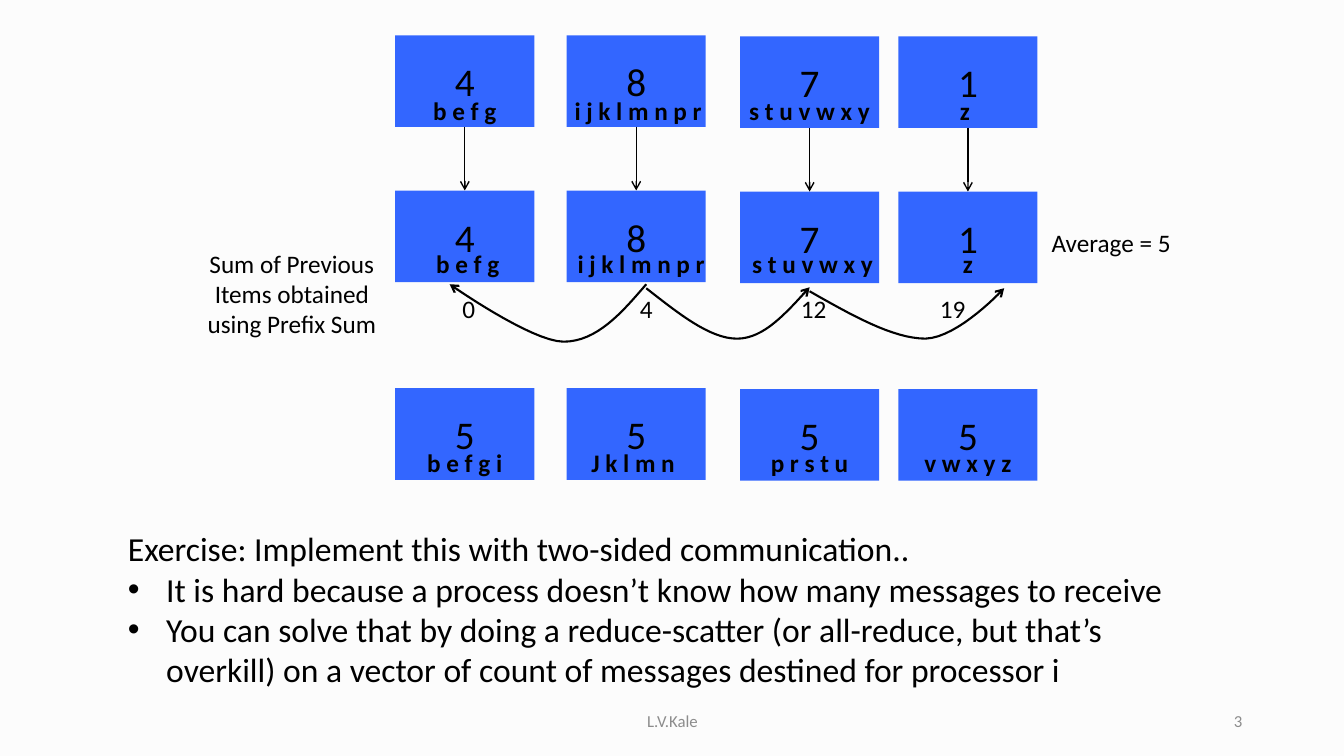
"""Build a slide on balancing items across processes with a prefix sum."""
from lxml import etree
from pptx import Presentation
from pptx.dml.color import RGBColor
from pptx.enum import shapes, text
from pptx.oxml import ns
from pptx.util import Inches, Pt

BLACK = RGBColor(0, 0, 0)
BLUE = RGBColor(0x33, 0x66, 0xFF)
GREY = RGBColor(0x8C, 0x8C, 0x8C)
PAPER = RGBColor(0xFC, 0xFC, 0xFC)
LEFT, CENTER, RIGHT = text.PP_ALIGN.LEFT, text.PP_ALIGN.CENTER, text.PP_ALIGN.RIGHT

BOX_WIDTH, BOX_HEIGHT = 1.38, 0.91
LABEL_WIDTH, LABEL_HEIGHT = 1.6, 0.4
COLUMNS = [(3.92, 0), (5.62, 0), (7.34, 0.01), (8.91, 0.01)]
ROWS = [
    (0.35, 0.9, [("4", "b e f g", 4.61), ("8", "i j k l m n p r", 6.33),
                 ("7", "s t u v w x y", 8.03), ("1", "z", 9.57)]),
    (1.89, 2.41, [("4", "b e f g", 4.64), ("8", "i j k l m n p r", 6.36),
                  ("7", "s t u v w x y", 8.06), ("1", "z", 9.6)]),
    (3.85, 4.39, [("5", "b e f g i", 4.61), ("5", "J k l m n", 6.28),
                  ("5", "p r s t u", 8.03), ("5", "v w x y z", 9.6)]),
]
PREFIX_SUMS = [("0", 4.65), ("4", 6.41), ("12", 8.07), ("19", 9.45)]
CURVES = [
    [(6.41, 2.82), (6.17, 3.1), (5.92, 3.39), (5.59, 3.39),
     (5.27, 3.39), (4.46, 2.82), (4.46, 2.82)],
    [(6.41, 2.86), (6.73, 3.11), (7.04, 3.36), (7.31, 3.36),
     (7.58, 3.36), (7.8, 3.1), (8.03, 2.85)],
    [(8.03, 2.89), (8.45, 3.13), (8.86, 3.36), (9.18, 3.36),
     (9.51, 3.35), (9.96, 2.86), (9.96, 2.86)],
]
CURVE_STEPS = 16
NOTES = [
    ("Average = 5", (10.28, 2.21, 1.48, 0.4), 18, CENTER, BLACK),
    ("Sum of Previous Items obtained using Prefix Sum",
     (1.86, 2.41, 2.07, 1.01), 18, CENTER, BLACK),
    ("L.V.Kale", (4.42, 6.95, 4.5, 0.4), 12, CENTER, GREY),
    ("3", (9.42, 6.95, 3, 0.4), 12, RIGHT, GREY),
]
EXERCISE = [
    "Exercise: Implement this with two-sided communication..",
    "It is hard because a process doesn’t know how many messages to receive",
    "You can solve that by doing a reduce-scatter (or all-reduce, but that’s "
    "overkill) on a vector of count of messages destined for processor i",
]


def style_text(para, size, align=CENTER, color=BLACK, bold=False):
    para.alignment = align
    para.font.name = "Calibri"
    para.font.size = Pt(size)
    para.font.bold = bold
    para.font.color.rgb = color


def add_text(page, words, place, size, align=CENTER, color=BLACK, bold=False):
    frame = page.shapes.add_textbox(*map(Inches, place)).text_frame
    frame.word_wrap = True
    frame.text = words
    if color == GREY:
        frame.vertical_anchor = text.MSO_ANCHOR.MIDDLE
    for para in frame.paragraphs:
        style_text(para, size, align, color, bold)
    return frame


def add_label(page, words, center, top, bold=False):
    place = (center - LABEL_WIDTH / 2, top, LABEL_WIDTH, LABEL_HEIGHT)
    add_text(page, words, place, 18, bold=bold)


def add_box(page, count, left, top):
    box = page.shapes.add_shape(
        shapes.MSO_SHAPE.RECTANGLE,
        *map(Inches, (left, top, BOX_WIDTH, BOX_HEIGHT)))
    box.shadow.inherit = False
    box.fill.solid()
    box.fill.fore_color.rgb = BLUE
    box.line.fill.background()
    box.text_frame.text = count
    box.text_frame.vertical_anchor = text.MSO_ANCHOR.MIDDLE
    style_text(box.text_frame.paragraphs[0], 28)
    return box


def style_arrow(arrow, width):
    arrow.line.color.rgb = BLACK
    arrow.line.width = Pt(width)
    etree.SubElement(arrow.line._get_or_add_ln(), ns.qn("a:tailEnd"), type="arrow")


def add_arrow(page, upper, lower):
    arrow = page.shapes.add_connector(shapes.MSO_CONNECTOR.STRAIGHT, 0, 0, 0, 0)
    arrow.begin_connect(upper, 2)
    arrow.end_connect(lower, 0)
    style_arrow(arrow, 1)
    etree.SubElement(arrow._element.spPr, ns.qn("a:effectLst"))


def bezier(knots, t):
    weights = ((1 - t) ** 3, 3 * t * (1 - t) ** 2, 3 * t * t * (1 - t), t ** 3)
    return tuple(Inches(sum(w * knot[axis] for w, knot in zip(weights, knots)))
                 for axis in (0, 1))


def add_curve(page, knots):
    points = [bezier(knots[start:start + 4], step / CURVE_STEPS)
              for start in (0, 3) for step in range(1, CURVE_STEPS + 1)]
    builder = page.shapes.build_freeform(*map(Inches, knots[0]))
    builder.add_line_segments(points, close=False)
    curve = builder.convert_to_shape()
    curve.shadow.inherit = False
    curve.fill.background()
    style_arrow(curve, 1.5)


def add_bullet(para):
    props = para._p.get_or_add_pPr()
    props.set("marL", str(Inches(0.38)))
    props.set("indent", str(-Inches(0.38)))
    etree.SubElement(props, ns.qn("a:buFont"), typeface="Arial")
    etree.SubElement(props, ns.qn("a:buChar"), char="•")


def main():
    deck = Presentation()
    deck.slide_width, deck.slide_height = Inches(13.33), Inches(7.5)
    page = deck.slides.add_slide(deck.slide_layouts[6])
    page.background.fill.solid()
    page.background.fill.fore_color.rgb = PAPER

    grid = []
    for top, label_top, cells in ROWS:
        grid.append([add_box(page, count, left, top + drop)
                     for (left, drop), (count, _, _) in zip(COLUMNS, cells)])
        for _, letters, center in cells:
            add_label(page, letters, center, label_top, bold=True)
    for upper, lower in zip(grid[0], grid[1]):
        add_arrow(page, upper, lower)

    for total, center in PREFIX_SUMS:
        add_label(page, total, center, 2.86)
    for knots in CURVES:
        add_curve(page, knots)
    for note in NOTES:
        add_text(page, *note)

    frame = add_text(page, EXERCISE[0], (1.17, 5.19, 10.99, 1.72), 24, LEFT)
    for line in EXERCISE[1:]:
        para = frame.add_paragraph()
        para.text = line
        add_bullet(para)
        style_text(para, 24, LEFT)
    deck.save("out.pptx")


if __name__ == "__main__":
    main()
